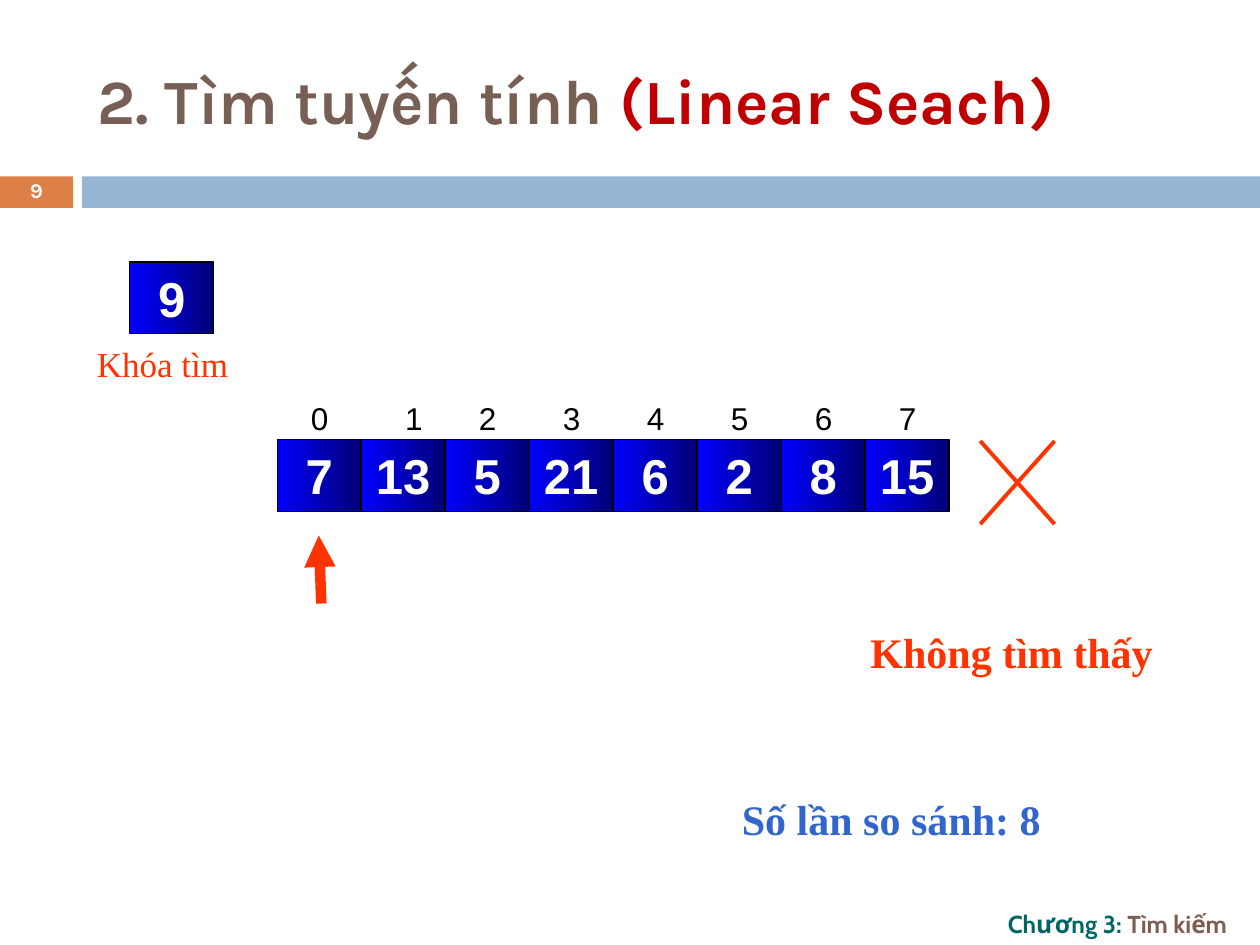
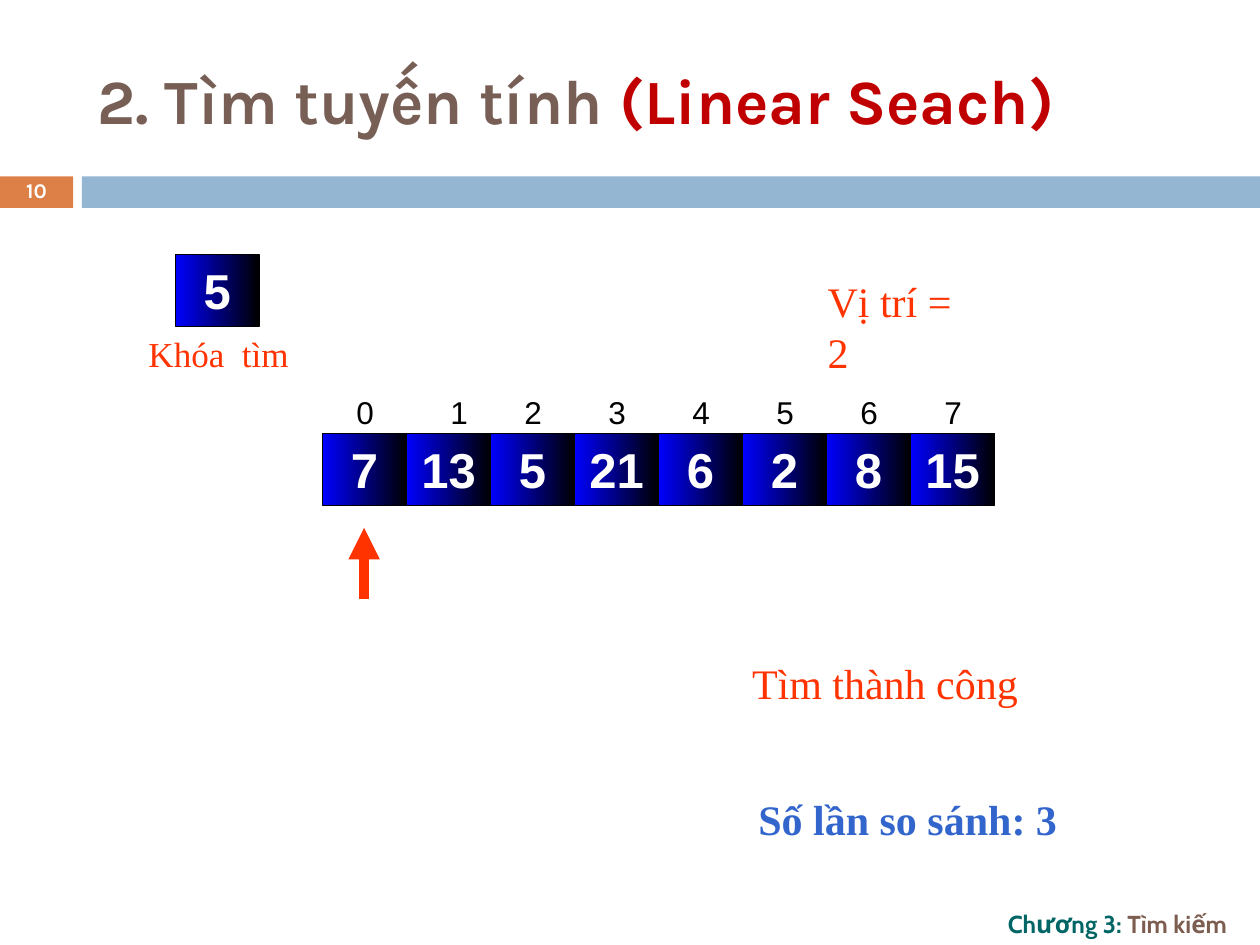
from dataclasses import dataclass

import lxml.etree
import pptx
import pptx.dml.color
import pptx.enum.dml
import pptx.enum.shapes
import pptx.enum.text
import pptx.oxml.ns
import pptx.util

Inches = pptx.util.Inches
Anchor = pptx.enum.text.MSO_ANCHOR
Align = pptx.enum.text.PP_ALIGN
RECTANGLE = pptx.enum.shapes.MSO_SHAPE.RECTANGLE
STRAIGHT = pptx.enum.shapes.MSO_CONNECTOR.STRAIGHT


@dataclass(frozen=True)
class Theme:
    title_brown: str = "775F55"
    title_red: str = "C00000"
    orange: str = "DD8047"
    band_blue: str = "94B6D2"
    chapter_green: str = "006565"
    chapter_brown: str = "7C5D50"
    cell_blue: str = "0000FF"
    mark_red: str = "FF3300"
    count_blue: str = "3366CC"
    white: str = "FFFFFF"
    black: str = "000000"
    title_font: str = "Karla"
    footer_font: str = "Cabin"
    cell_font: str = "Arial"
    note_font: str = "Times New Roman"
    title_size: float = 36
    cell_size: float = 28
    note_size: float = 24
    key_size: float = 20
    index_size: float = 18
    footer_size: float = 14
    number_size: float = 12


THEME = Theme()
TITLE_LEFT = 0.67
CELL_WIDTH = 2 / 3
CELL_HEIGHT = 0.57
VALUES = (7, 13, 5, 21, 6, 2, 8, 15)


@dataclass(frozen=True)
class Place:
    left: float
    top: float
    width: float
    height: float

    def lengths(self) -> tuple:
        return tuple(Inches(n) for n in (self.left, self.top, self.width, self.height))


@dataclass(frozen=True)
class Style:
    font: str
    size: float
    color: str
    bold: bool = False


@dataclass(frozen=True)
class Note:
    text: str
    place: Place
    style: Style


@dataclass(frozen=True)
class Line:
    start: tuple[float, float]
    end: tuple[float, float]
    width: float
    arrow: bool = False


@dataclass(frozen=True)
class Search:
    number: int
    key: int
    key_left: float
    key_top: float
    row_left: float
    row_top: float
    cell_end: str
    pointer: Line
    notes: tuple[Note, ...]
    cross: tuple[Line, ...] = ()


CELL = Style(THEME.cell_font, THEME.cell_size, THEME.white, True)
INDEX = Style(THEME.cell_font, THEME.index_size, THEME.black)
NUMBER = Style(THEME.title_font, THEME.number_size, THEME.white, True)
KEY_NOTE = Style(THEME.note_font, THEME.key_size, THEME.mark_red)
FOUND = Style(THEME.note_font, THEME.note_size, THEME.mark_red)
MISSING = Style(THEME.note_font, THEME.note_size, THEME.mark_red, True)
COUNT = Style(THEME.note_font, THEME.note_size, THEME.count_blue, True)
TITLE = (
    ("2. Tìm tuyến tính ", Style(THEME.title_font, THEME.title_size, THEME.title_brown, True)),
    ("(Linear Seach)", Style(THEME.title_font, THEME.title_size, THEME.title_red, True)),
)
CHAPTER = (
    ("Chương 3: ", Style(THEME.footer_font, THEME.footer_size, THEME.chapter_green, True)),
    ("Tìm kiếm", Style(THEME.footer_font, THEME.footer_size, THEME.chapter_brown, True)),
)

SEARCHES = (
    Search(
        number=9, key=9, key_left=1.03, key_top=2.08, row_left=2.2, row_top=3.49,
        cell_end="000076",
        pointer=Line((2.55, 4.79), (2.53, 4.25), 6, arrow=True),
        notes=(
            Note("Không tìm thấy", Place(6.81, 4.92, 2.44, 0.5), MISSING),
            Note("Số lần so sánh: 8", Place(5.79, 6.25, 2.57, 0.5), COUNT),
            Note("Khóa tìm", Place(0.67, 2.67, 1.31, 0.44), KEY_NOTE),
        ),
        cross=(
            Line((8.37, 3.5), (7.78, 4.16), 2.25),
            Line((7.78, 3.5), (8.37, 4.16), 2.25),
        ),
    ),
    Search(
        number=10, key=5, key_left=1.39, key_top=2.02, row_left=2.56, row_top=3.44,
        cell_end=THEME.black,
        pointer=Line((2.89, 4.75), (2.89, 4.19), 6, arrow=True),
        notes=(
            Note("Khóa  tìm", Place(1.08, 2.59, 1.38, 0.44), KEY_NOTE),
            Note("Vị trí = 2", Place(6.47, 2.14, 1.43, 0.5), FOUND),
            Note("Tìm thành công", Place(5.87, 5.17, 2.31, 0.5), FOUND),
            Note("Số lần so sánh: 3", Place(5.92, 6.25, 2.57, 0.5), COUNT),
        ),
    ),
)


def rgb(color: str) -> pptx.dml.color.RGBColor:
    return pptx.dml.color.RGBColor.from_string(color)


def write(shape, spans: tuple, align=Align.LEFT, anchor=Anchor.TOP):
    """Fill a shape with one paragraph of (text, style) spans."""
    frame = shape.text_frame
    frame.vertical_anchor = anchor
    para = frame.paragraphs[0]
    para.alignment = align
    para.text = spans[0][0]
    for text, _ in spans[1:]:
        para.add_run().text = text
    for span, (_, style) in zip(para.runs, spans):
        span.font.name = style.font
        span.font.size = pptx.util.Pt(style.size)
        span.font.bold = style.bold
        span.font.color.rgb = rgb(style.color)
    return para


def add_label(shapes, note: Note) -> None:
    box = shapes.add_textbox(*note.place.lengths())
    box.text_frame.word_wrap = False
    box.text_frame.auto_size = pptx.enum.text.MSO_AUTO_SIZE.SHAPE_TO_FIT_TEXT
    write(box, ((note.text, note.style),))


def add_band(page, place: Place, color: str):
    band = page.shapes.add_shape(RECTANGLE, *place.lengths())
    band.shadow.inherit = False
    band.fill.solid()
    band.fill.fore_color.rgb = rgb(color)
    band.line.fill.background()


def add_cell(page, left: float, top: float, value: int, end_color: str) -> None:
    place = Place(left, top, CELL_WIDTH, CELL_HEIGHT)
    cell = page.shapes.add_shape(RECTANGLE, *place.lengths())
    cell.shadow.inherit = False
    cell.fill.gradient()
    cell.fill.gradient_angle = 0
    for stop, color in zip(cell.fill.gradient_stops, (THEME.cell_blue, end_color)):
        stop.color.rgb = rgb(color)
    cell.line.color.rgb = rgb(THEME.black)
    cell.line.width = pptx.util.Pt(0.75)
    write(cell, ((str(value), CELL),), Align.CENTER)


def add_line(shapes, line: Line) -> None:
    ends = (Inches(n) for n in line.start + line.end)
    connector = shapes.add_connector(STRAIGHT, *ends)
    connector.line.color.rgb = rgb(THEME.mark_red)
    connector.line.width = pptx.util.Pt(line.width)
    qn = pptx.oxml.ns.qn
    if line.arrow:
        outline = connector.line._get_or_add_ln()
        lxml.etree.SubElement(outline, qn("a:tailEnd"), type="triangle")
    lxml.etree.SubElement(connector._element.spPr, qn("a:effectLst"))


def add_frame(page, number: int) -> None:
    """Draw the title, band, slide number and chapter footer."""
    add_band(page, Place(0, 1.4, 0.58, 0.25), THEME.orange)
    add_band(page, Place(0.65, 1.4, 9.35, 0.25), THEME.band_blue)
    title = page.shapes.title
    title.left, title.top, title.width, title.height = Place(TITLE_LEFT, 0.25, 8.92, 1.08).lengths()
    write(title, TITLE, anchor=Anchor.MIDDLE)
    footer = page.shapes.add_textbox(*Place(7.9, 7.17, 2.1, 0.33).lengths())
    footer.text_frame.word_wrap = True
    write(footer, CHAPTER, anchor=Anchor.MIDDLE)
    counter = page.shapes.add_textbox(*Place(0, 1.39, 0.58, 0.27).lengths())
    counter.text_frame.word_wrap = True
    para = write(counter, ((str(number), NUMBER),), Align.CENTER, Anchor.MIDDLE)
    para.line_spacing = 0.8


def add_array(page, search: Search) -> None:
    """Draw the row of values with their indexes above."""
    indexes = page.shapes.add_group_shape()
    for index, value in enumerate(VALUES):
        left = search.row_left + index * CELL_WIDTH
        add_cell(page, left, search.row_top, value, search.cell_end)
        shift = 0.25 if index == 1 else 0.17
        place = Place(left + shift, search.row_top - 0.37, 0.34, 0.4)
        add_label(indexes.shapes, Note(str(index), place, INDEX))


def add_search(deck, search: Search) -> None:
    page = deck.slides.add_slide(deck.slide_layouts[5])
    add_frame(page, search.number)
    add_cell(page, search.key_left, search.key_top, search.key, search.cell_end)
    add_line(page.shapes, search.pointer)
    add_array(page, search)
    for note in search.notes:
        add_label(page.shapes, note)
    if search.cross:
        cross = page.shapes.add_group_shape()
        for line in search.cross:
            add_line(cross.shapes, line)


def main() -> None:
    deck = pptx.Presentation()
    deck.slide_width, deck.slide_height = Inches(10), Inches(7.5)
    for search in SEARCHES:
        add_search(deck, search)
    deck.save("out.pptx")


if __name__ == "__main__":
    main()
